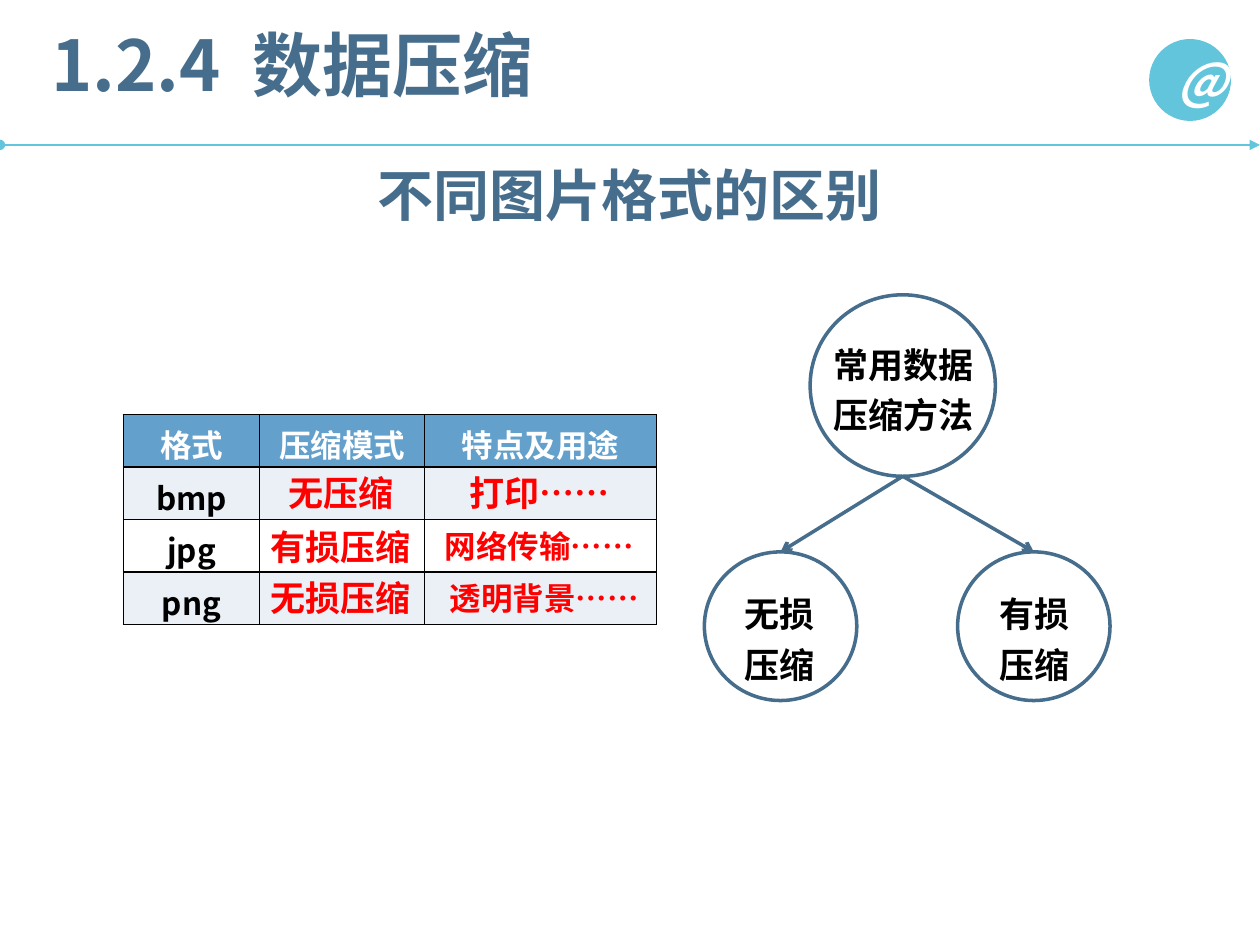
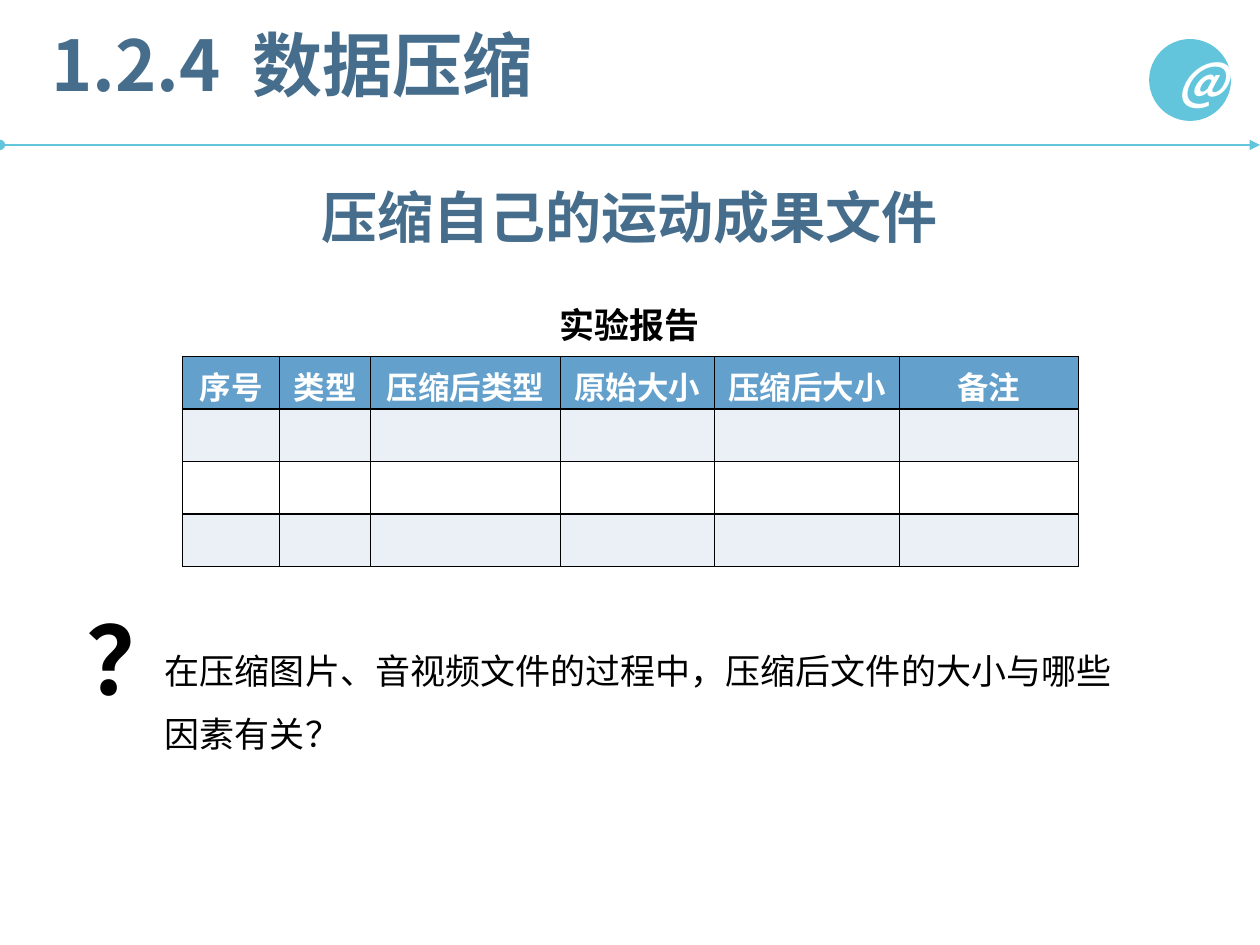
from pptx import Presentation
from pptx.dml.color import RGBColor
from pptx.enum.shapes import MSO_CONNECTOR, MSO_SHAPE
from pptx.enum.text import MSO_ANCHOR, PP_ALIGN
from pptx.oxml.ns import qn
from pptx.util import Inches, Pt
from lxml.etree import SubElement

FONT = "Noto Sans CJK SC"
COLORS = {
    "navy": "466E8C", "aqua": "62C5DC", "head": "63A0CC", "band": "EAF0F6",
    "white": "FFFFFF", "black": "000000", "red": "FF0000",
}
STYLES = {
    "title": {"size": 40, "color": "navy", "bold": True},
    "subtitle": {"size": 32, "color": "navy", "bold": True},
    "badge": {"size": 28, "color": "white", "bold": True, "italic": True},
    "head": {"size": 18, "color": "white", "bold": True},
    "cell": {"size": 18, "color": "black", "bold": True},
    "label": {"size": 20, "color": "black", "bold": True},
    "answer": {"size": 20, "color": "red", "bold": True},
    "small_answer": {"size": 18, "color": "red", "bold": True},
    "question": {"size": 20, "color": "black", "bold": False},
    "mark": {"size": 54, "color": "black", "bold": True},
}
SECTION = ("1.2.4", "数据压缩")
ROW_HEIGHT = 0.417

FORMATS = {
    "subtitle": ("不同图片格式的区别", 1.24),
    "at": (0.98, 3.29),
    "cols": [1.08, 1.31, 1.84],
    "rows": [["格式", "压缩模式", "特点及用途"],
             ["bmp", "", ""], ["jpg", "", ""], ["png", "", ""]],
}
ANSWERS = [
    ("无压缩", "answer", (2.19, 3.69, 1.04, 0.44)),
    ("有损压缩", "answer", (2.05, 4.12, 1.32, 0.44)),
    ("无损压缩", "answer", (2.05, 4.53, 1.32, 0.44)),
    ("打印……", "answer", (3.63, 3.69, 1.32, 0.44)),
    ("网络传输……", "small_answer", (3.43, 4.13, 1.71, 0.4)),
    ("透明背景……", "small_answer", (3.47, 4.55, 1.71, 0.4)),
]
METHODS = [
    (["常用数据", "压缩方法"], (6.43, 2.34, 1.47, 1.44), (6.51, 2.61, 1.32, 0.91)),
    (["无损压缩"], (5.59, 4.38, 1.21, 1.18), (5.71, 4.59, 0.96, 0.91)),
    (["有损压缩"], (7.6, 4.38, 1.21, 1.18), (7.77, 4.59, 0.88, 0.91)),
]
REPORT = {
    "subtitle": ("压缩自己的运动成果文件", 1.42),
    "at": (1.45, 2.83),
    "cols": [0.77, 0.72, 1.51, 1.22, 1.47, 1.42],
    "rows": [["序号", "类型", "压缩后类型", "原始大小", "压缩后大小", "备注"]] + [[""] * 6] * 3,
}
REPORT_TITLE = "实验报告"
QUESTION = "在压缩图片、音视频文件的过程中，压缩后文件的大小与哪些因素有关？"


def rgb(name):
    return RGBColor.from_string(COLORS[name])


def add_run(p, text, style):
    r = p.add_run()
    r.text = text
    r.font.name = FONT
    for key, value in STYLES[style].items():
        if key == "color":
            r.font.color.rgb = rgb(value)
        else:
            setattr(r.font, key, Pt(value) if key == "size" else value)
    SubElement(r.font._element, qn("a:ea"), typeface=FONT)
    return r


def write(tf, lines, style, align=PP_ALIGN.LEFT, spacing=None):
    for i, line in enumerate(lines):
        p = tf.add_paragraph() if i else tf.paragraphs[0]
        p.alignment = align
        p.line_spacing = spacing
        add_run(p, line, style)


def add_text(s, box, lines, style, align=PP_ALIGN.LEFT, spacing=None, wrap=True):
    tf = s.shapes.add_textbox(*map(Inches, box)).text_frame
    tf.word_wrap = wrap
    write(tf, lines, style, align, spacing)
    return tf


def add_circle(s, box, fill=None, line=None):
    sp = s.shapes.add_shape(MSO_SHAPE.OVAL, *map(Inches, box))
    sp.shadow.inherit = False
    if fill:
        sp.fill.solid()
        sp.fill.fore_color.rgb = rgb(fill)
    else:
        sp.fill.background()
    if line:
        sp.line.color.rgb = rgb(line)
        sp.line.width = Pt(2)
    else:
        sp.line.fill.background()
    return sp


def add_line(s, start, end, color, width, **ends):
    line = s.shapes.add_connector(MSO_CONNECTOR.STRAIGHT, *map(Inches, start + end))
    line.line.color.rgb = rgb(color)
    line.line.width = Pt(width)
    ln = line.line._get_or_add_ln()
    for tag, kind in ends.items():
        SubElement(ln, qn("a:" + tag), type=kind)
    SubElement(line._element.spPr, qn("a:effectLst"))


def add_border(cell):
    tcPr = cell._tc.get_or_add_tcPr()
    for side in "LRTB":
        ln = SubElement(tcPr, qn("a:ln" + side), w=str(Pt(1)))
        fill = SubElement(ln, qn("a:solidFill"))
        SubElement(fill, qn("a:srgbClr"), val=COLORS["black"])


def add_grid(s, at, cols, rows):
    box = (*at, sum(cols), ROW_HEIGHT * len(rows))
    table = s.shapes.add_table(len(rows), len(cols), *map(Inches, box)).table
    for col, width in zip(table.columns, cols):
        col.width = Inches(width)
    for i, row in enumerate(rows):
        table.rows[i].height = Inches(ROW_HEIGHT)
        for j, text in enumerate(row):
            cell = table.cell(i, j)
            cell.margin_bottom = 0
            cell.vertical_anchor = MSO_ANCHOR.MIDDLE
            add_border(cell)
            cell.fill.solid()
            cell.fill.fore_color.rgb = rgb("head" if i == 0 else "band" if i % 2 else "white")
            if text:
                write(cell.text_frame, [text], "cell" if i else "head", PP_ALIGN.CENTER)


def add_page(prs, content):
    s = prs.slides.add_slide(prs.slide_layouts[6])
    number, name = SECTION
    tf = add_text(s, (0.31, 0.2, 6.52, 0.77), [number], "title", spacing=0.9)
    gap = add_run(tf.paragraphs[0], " ", "title")
    gap.font._element.set("spc", "900")
    add_run(tf.paragraphs[0], name, "title")
    add_line(s, (0, 1.15), (10, 1.15), "aqua", 0.75, headEnd="oval", tailEnd="triangle")
    badge = add_circle(s, (9.12, 0.31, 0.65, 0.65), fill="aqua").text_frame
    badge.margin_left, badge.margin_right = Inches(0.13), 0
    badge.vertical_anchor = MSO_ANCHOR.MIDDLE
    write(badge, ["@"], "badge", PP_ALIGN.CENTER)
    text, top = content["subtitle"]
    tf = add_text(s, (0, top, 10, 0.62), [text], "subtitle", PP_ALIGN.CENTER, 0.9)
    tf.vertical_anchor = MSO_ANCHOR.BOTTOM
    add_grid(s, content["at"], content["cols"], content["rows"])
    return s


def build_formats(prs):
    s = add_page(prs, FORMATS)
    for lines, circle, label in METHODS:
        add_circle(s, circle, line="navy")
        add_text(s, label, lines, "label", PP_ALIGN.CENTER, 1.2, wrap=len(lines) == 1)
    x, y, w, h = METHODS[0][1]
    for _, (left, top, width, _), _ in METHODS[1:]:
        add_line(s, (x + w / 2, y + h), (left + width / 2, top), "navy", 2, tailEnd="arrow")
    for text, style, box in ANSWERS:
        add_text(s, box, [text], style, wrap=False)


def build_report(prs):
    s = add_page(prs, REPORT)
    add_text(s, (1.21, 4.94, 7.78, 1.03), [QUESTION], "question", spacing=1.5)
    add_text(s, (0.59, 4.72, 0.95, 1.01), ["？"], "mark", PP_ALIGN.CENTER, wrap=False)
    add_text(s, (4.34, 2.36, 1.32, 0.44), [REPORT_TITLE], "label", wrap=False)


def main():
    prs = Presentation()
    prs.slide_width, prs.slide_height = Inches(10), Inches(7.5)
    build_formats(prs)
    build_report(prs)
    prs.save("out.pptx")


if __name__ == "__main__":
    main()
